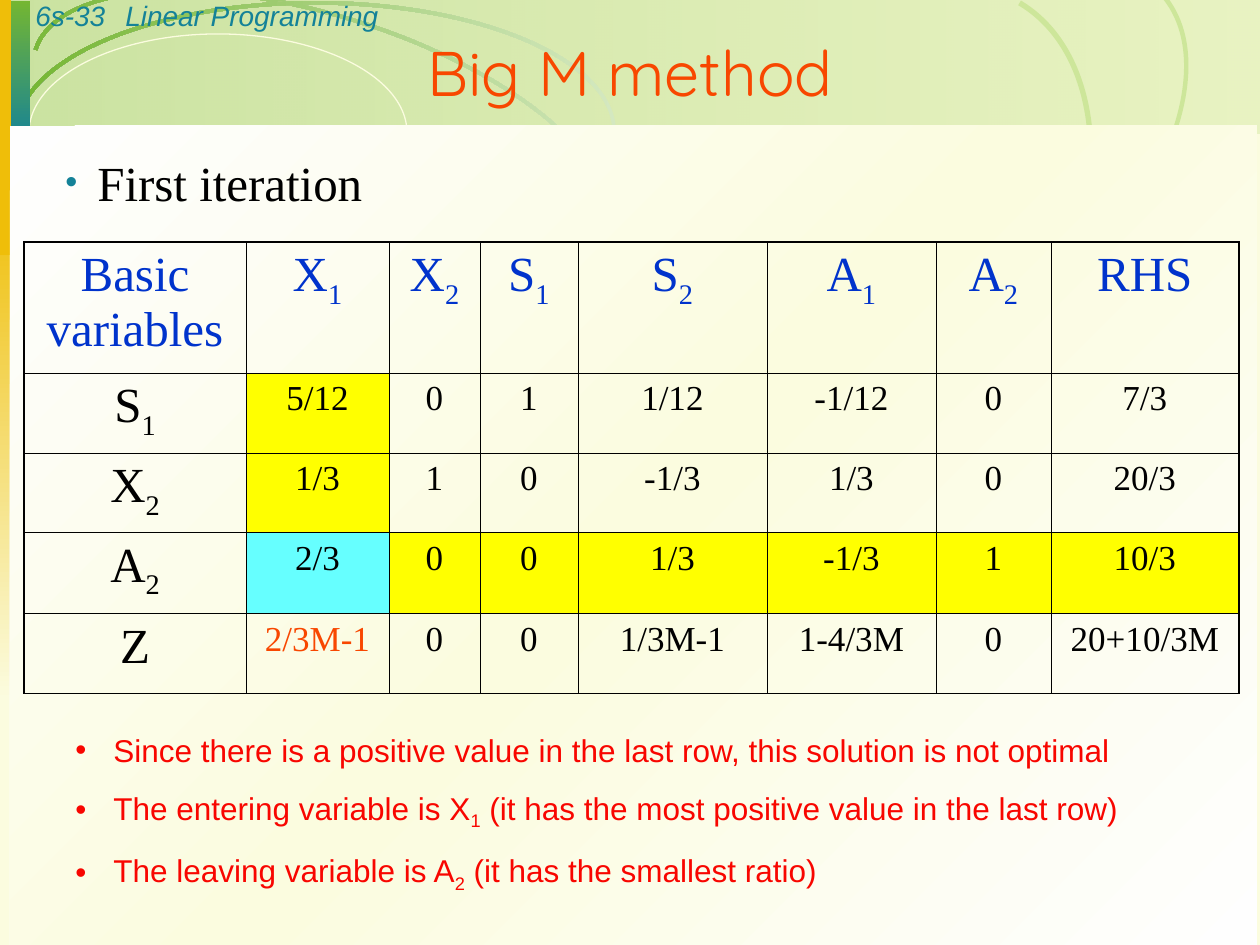
from lxml.etree import SubElement
from pptx import Presentation
from pptx.dml.color import RGBColor
from pptx.enum.shapes import MSO_SHAPE
from pptx.enum.text import MSO_ANCHOR, PP_ALIGN
from pptx.oxml.ns import qn
from pptx.util import Emu, Pt

BLACK = RGBColor(0x00, 0x00, 0x00)
BLUE = RGBColor(0x00, 0x33, 0xCC)
RED = RGBColor(0xF8, 0x06, 0x00)
ORANGE = RGBColor(0xF8, 0x47, 0x00)
TEAL = RGBColor(0x14, 0x82, 0x98)
GREEN = RGBColor(0x74, 0xB6, 0x32)
PALE_GREEN = RGBColor(0xD4, 0xE8, 0xC0)
BAND_GREEN = RGBColor(0xBC, 0xDD, 0x7B)
LIME = RGBColor(0xCD, 0xE6, 0x9A)
GOLD = RGBColor(0xEF, 0xBE, 0x09)
CREAM = RGBColor(0xFB, 0xFC, 0xDF)
WHITE = RGBColor(0xFE, 0xFE, 0xFE)
YELLOW = RGBColor(0xFF, 0xFF, 0x00)
CYAN = RGBColor(0x66, 0xFF, 0xFF)

HEADER = {"name": "Arial", "size": Pt(16), "italic": True, "color": TEAL}
TITLE = {"name": "Quicksand", "size": Pt(36), "color": ORANGE}
BODY = {"name": "Times New Roman", "size": Pt(28), "color": BLACK}
VALUE = {**BODY, "size": Pt(20)}
NOTE = {"name": "Arial", "size": Pt(18), "color": RED}

COLUMNS = [222, 143, 91, 98, 189, 169, 115, 188]
ROWS = [131, 80, 79, 81, 80]
TABLEAU = [
    ["Basic variables", "X_1", "X_2", "S_1", "S_2", "A_1", "A_2", "RHS"],
    ["S_1", "5/12", "0", "1", "1/12", "-1/12", "0", "7/3"],
    ["X_2", "1/3", "1", "0", "-1/3", "1/3", "0", "20/3"],
    ["A_2", "2/3", "0", "0", "1/3", "-1/3", "1", "10/3"],
    ["Z", "2/3M-1", "0", "0", "1/3M-1", "1-4/3M", "0", "20+10/3M"],
]
PIVOT_ROW, PIVOT_COLUMN = 3, 1
NOTES = [
    "Since there is a positive value in the last row, this solution is not optimal",
    "The entering variable is X_1 (it has the most positive value in the last row)",
    "The leaving variable is A_2 (it has the smallest ratio)",
]


def px(n):
    """Turn pixels into EMU."""
    return Emu(round(n * 914400 / 126))


def add_gradient(s, colors, angle, alphas=()):
    """Fill a shape with evenly spaced gradient stops."""
    s.fill.gradient()
    grad = s._element.spPr.find(qn("a:gradFill"))
    for child in list(grad):
        grad.remove(child)
    stops = SubElement(grad, qn("a:gsLst"))
    for i, color in enumerate(colors):
        gs = SubElement(stops, qn("a:gs"), pos=str(100000 * i // (len(colors) - 1)))
        clr = SubElement(gs, qn("a:srgbClr"), val=str(color))
        if alphas:
            SubElement(clr, qn("a:alpha"), val=str(alphas[i] * 1000))
    SubElement(grad, qn("a:lin"), ang=str(angle * 60000), scaled="0")


def add_decor(slide, kind, box, colors, angle=0, alphas=()):
    """Add a borderless shape with a plain or gradient fill."""
    s = slide.shapes.add_shape(kind, *map(px, box))
    s.shadow.inherit = False
    s.line.fill.background()
    if len(colors) > 1:
        add_gradient(s, colors, angle, alphas)
    else:
        s.fill.solid()
        s.fill.fore_color.rgb = colors[0]
    return s


def add_arc(slide, box, colors, angle=0, rotation=0, flip=False):
    """Add a thin tapering half ring."""
    s = add_decor(slide, MSO_SHAPE.BLOCK_ARC, box, colors, angle)
    for i, value in enumerate((108, 0, 0.014)):
        s.adjustments[i] = value
    s.rotation = rotation
    if flip:
        s._element.spPr.xfrm.set("flipV", "1")


def add_runs(p, text, style):
    """Write text, setting each character after an underscore as a subscript."""
    first, *rest = text.split("_")
    pieces = [(first, False)]
    for part in rest:
        pieces += [(part[0], True), (part[1:], False)]
    for piece, lowered in pieces:
        if not piece:
            continue
        r = p.add_run()
        r.text = piece
        for key, value in style.items():
            if key == "color":
                r.font.color.rgb = value
            else:
                setattr(r.font, key, value)
        if lowered:
            r._r.get_or_add_rPr().set("baseline", "-25000")


def add_bullet(p, color, indent, percent=100):
    """Give a paragraph a hanging round bullet."""
    pPr = p._p.get_or_add_pPr()
    pPr.set("marL", str(px(indent)))
    pPr.set("indent", str(-px(indent)))
    clr = SubElement(pPr, qn("a:buClr"))
    SubElement(clr, qn("a:srgbClr"), val=str(color))
    SubElement(pPr, qn("a:buSzPct"), val=str(percent * 1000))
    SubElement(pPr, qn("a:buFont"), typeface="Arial")
    SubElement(pPr, qn("a:buChar"), char="•")


def add_text(slide, box, lines, style, before, bullet=None):
    """Add a wrapping text box with one paragraph a line."""
    tf = slide.shapes.add_textbox(*map(px, box)).text_frame
    tf.word_wrap = True
    for i, line in enumerate(lines):
        p = tf.add_paragraph() if i else tf.paragraphs[0]
        p.space_before = Pt(before)
        if bullet:
            add_bullet(p, *bullet)
        add_runs(p, line, style)


def add_borders(cell, row, column):
    """Draw the cell borders, heavier on the outside of the table."""
    tcPr = cell._tc.get_or_add_tcPr()
    outer = {"L": column == 0, "R": column == len(COLUMNS) - 1,
             "T": row == 0, "B": row == len(ROWS) - 1}
    for side, heavy in outer.items():
        ln = SubElement(tcPr, qn(f"a:ln{side}"), w=str(Pt(1.08 if heavy else 0.45)))
        fill = SubElement(ln, qn("a:solidFill"))
        SubElement(fill, qn("a:srgbClr"), val=str(BLACK))


def fill_cell(cell, row, column):
    """Highlight the pivot row, column and element."""
    in_row = row == PIVOT_ROW and column >= PIVOT_COLUMN
    in_column = column == PIVOT_COLUMN and 0 < row <= PIVOT_ROW
    if in_row or in_column:
        cell.fill.solid()
        cell.fill.fore_color.rgb = CYAN if in_row and in_column else YELLOW
    else:
        cell.fill.background()


def cell_style(row, column):
    """Pick the text format for a place in the tableau."""
    if row == 0:
        return {**BODY, "color": BLUE}
    if column == 0:
        return BODY
    if (row, column) == (len(ROWS) - 1, PIVOT_COLUMN):
        return {**VALUE, "color": ORANGE}
    return VALUE


def add_tableau(slide):
    """Add the simplex tableau."""
    box = (24, 242, sum(COLUMNS), sum(ROWS))
    table = slide.shapes.add_table(len(ROWS), len(COLUMNS), *map(px, box)).table
    table.first_row = table.horz_banding = False
    for column, width in zip(table.columns, COLUMNS):
        column.width = px(width)
    for i, values in enumerate(TABLEAU):
        table.rows[i].height = px(ROWS[i])
        for j, value in enumerate(values):
            cell = table.cell(i, j)
            add_borders(cell, i, j)
            fill_cell(cell, i, j)
            style = cell_style(i, j)
            p = cell.text_frame.paragraphs[0]
            p.alignment = PP_ALIGN.CENTER
            p.space_before = Pt(style["size"].pt / 4)
            add_runs(p, value, style)


def add_background(slide):
    """Add the green banner, its arcs, the side bars and the main panel."""
    slide.background.fill.solid()
    slide.background.fill.fore_color.rgb = CREAM
    rect = MSO_SHAPE.RECTANGLE
    add_decor(slide, rect, (1, 0, 1260, 134), (BAND_GREEN, GREEN), 180, (29, 36))
    add_arc(slide, (20, 14, 601, 251), (PALE_GREEN, GREEN), 162, 17.5)
    oval = add_decor(slide, MSO_SHAPE.OVAL, (29, 34, 378, 197), (CREAM,))
    oval.fill.background()
    oval.line.color.rgb = CREAM
    oval.line.width = Pt(0.75)
    add_decor(slide, rect, (0, 195, 28, 505), (GOLD, CREAM), 90)
    add_arc(slide, (639, 30, 601, 326), (LIME,), rotation=318.2, flip=True)
    add_arc(slide, (567, 66, 601, 386), (LIME,), rotation=300.7, flip=True)
    add_arc(slide, (15, 1, 601, 261), (PALE_GREEN, GREEN), 180)
    add_decor(slide, rect, (1, 1, 29, 144), (GREEN, TEAL), 90)
    add_decor(slide, rect, (0, 0, 11, 255), (GOLD,))
    add_decor(slide, rect, (10, 126, 1247, 819), (WHITE, CREAM, WHITE), 225)


def add_title(slide, text):
    """Place the title above the banner."""
    title = slide.shapes.title
    slide.shapes._spTree.append(title._element)
    box = {"left": 0, "top": 8, "width": 1260, "height": 126}
    for key, value in box.items():
        setattr(title, key, px(value))
    tf = title.text_frame
    tf.vertical_anchor = MSO_ANCHOR.MIDDLE
    p = tf.paragraphs[0]
    p.alignment = PP_ALIGN.CENTER
    add_runs(p, text, TITLE)


def main():
    """Build the slide and save it."""
    prs = Presentation()
    prs.slide_width, prs.slide_height = px(1260), px(945)
    slide = prs.slides.add_slide(prs.slide_layouts[5])
    add_background(slide)
    add_text(slide, (23, -8, 120, 47), ["6s-33"], HEADER, 10)
    add_text(slide, (113, -8, 1092, 47), ["Linear Programming"], HEADER, 10)
    add_title(slide, "Big M method")
    add_text(slide, (53, 146, 591, 680), ["First iteration"], BODY, 7, (TEAL, 32, 70))
    add_tableau(slide)
    add_text(slide, (63, 725, 1113, 176), NOTES, NOTE, 11.2, (RED, 38))
    prs.save("out.pptx")


if __name__ == "__main__":
    main()
